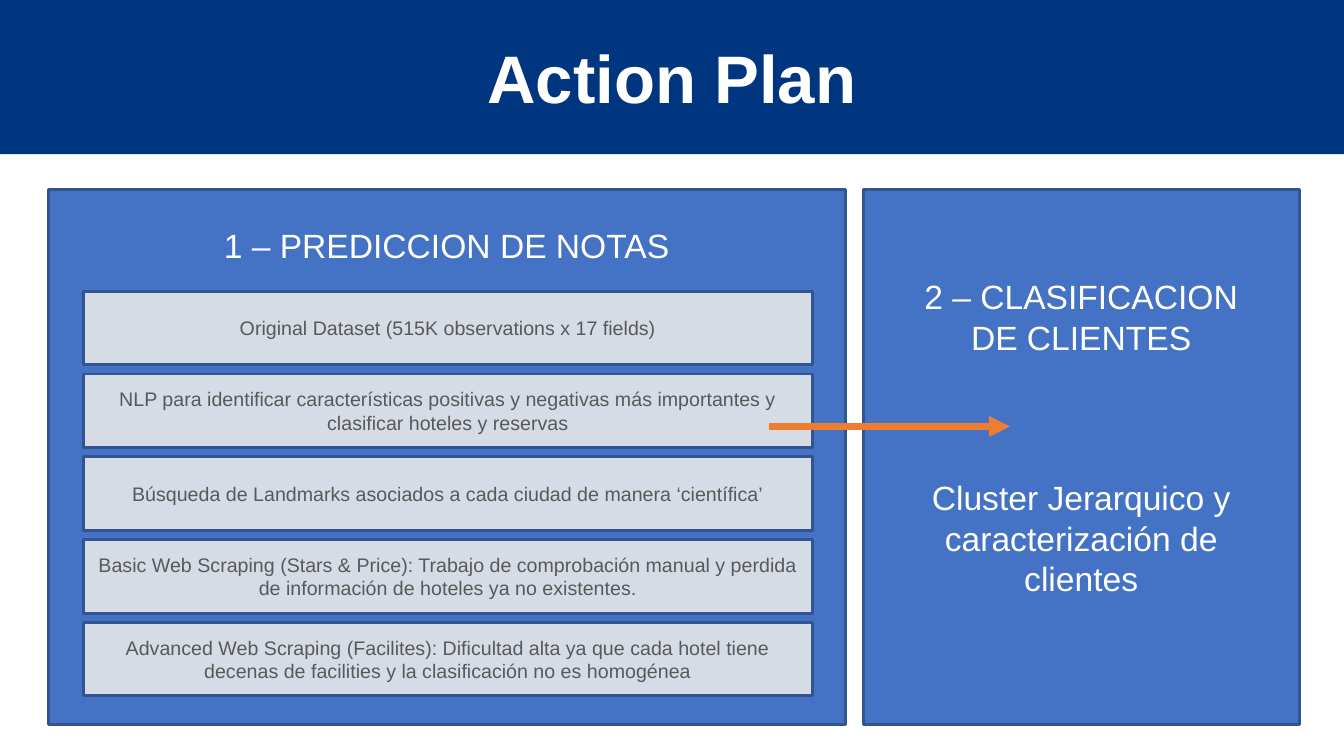
from pptx import Presentation
from pptx.util import Pt
from pptx.dml.color import RGBColor
from pptx.enum.shapes import MSO_SHAPE, MSO_CONNECTOR
from pptx.enum.text import PP_ALIGN, MSO_ANCHOR
from pptx.oxml.ns import qn
from lxml.etree import SubElement

TITLE = "Action Plan"
HEAD = "1 – PREDICCION DE NOTAS"
STEPS = [
    "Original Dataset (515K observations x 17 fields)",
    "NLP para identificar características positivas y negativas más "
    "importantes y clasificar hoteles y reservas",
    "Búsqueda de Landmarks asociados a cada ciudad de manera ‘científica’",
    "Basic Web Scraping (Stars & Price): Trabajo de comprobación manual y "
    "perdida de información de hoteles ya no existentes.",
    "Advanced Web Scraping (Facilites): Dificultad alta ya que cada hotel "
    "tiene decenas de facilities y la clasificación no es homogénea",
]
CLIENTS = [
    "2 – CLASIFICACION DE CLIENTES",
    "Cluster Jerarquico y caracterización de clientes",
]

NAVY = RGBColor(0x00, 0x35, 0x80)
BLUE = RGBColor(0x44, 0x72, 0xC4)
EDGE = RGBColor(0x32, 0x54, 0x91)
PALE = RGBColor(0xD6, 0xDC, 0xE5)
GREY = RGBColor(0x59, 0x59, 0x59)
WHITE = RGBColor(0xFF, 0xFF, 0xFF)
ORANGE = RGBColor(0xED, 0x7D, 0x31)

WIDTH, HEIGHT = 960, 540
PANEL_TOP, PANEL_H = 135.4, 382.3
STEP_TOP, STEP_H, STEP_GAP = 208.1, 52.6, 6.5
ARROW_Y = 304.6


def write(shape, lines, size, color, bold=False, gap=0):
    """Put centred paragraphs in a shape, with a gap between them."""
    frame = shape.text_frame
    frame.word_wrap = True
    frame.text = "\n".join(lines)
    for i, para in enumerate(frame.paragraphs):
        para.alignment = PP_ALIGN.CENTER
        para.space_before = Pt(gap if i else 0)
        font = para.font
        font.name, font.size, font.bold = "Arial", Pt(size), bold
        font.color.rgb = color


def box(slide, left, top, width, height, fill, edge=None):
    """Add a flat rectangle, outlined if an edge colour is given."""
    shape = slide.shapes.add_shape(
        MSO_SHAPE.RECTANGLE, Pt(left), Pt(top), Pt(width), Pt(height))
    shape.shadow.inherit = False
    shape.fill.solid()
    shape.fill.fore_color.rgb = fill
    if edge is None:
        shape.line.fill.background()
    else:
        shape.line.color.rgb = edge
        shape.line.width = Pt(2)
    shape.text_frame.vertical_anchor = MSO_ANCHOR.MIDDLE
    return shape


def label(slide, left, top, width, height, lines, gap=0):
    """Add a white text box in heading size."""
    text = slide.shapes.add_textbox(
        Pt(left), Pt(top), Pt(width), Pt(height))
    write(text, lines, 24, WHITE, gap=gap)


def arrow(slide, start, end, y):
    """Add a level orange arrow pointing to the right."""
    line = slide.shapes.add_connector(
        MSO_CONNECTOR.STRAIGHT, Pt(start), Pt(y), Pt(end), Pt(y))
    line.line.color.rgb = ORANGE
    line.line.width = Pt(5)
    SubElement(line.line._get_or_add_ln(), qn("a:tailEnd"), type="triangle")
    SubElement(line._element.spPr, qn("a:effectLst"))


deck = Presentation()
deck.slide_width, deck.slide_height = Pt(WIDTH), Pt(HEIGHT)
slide = deck.slides.add_slide(deck.slide_layouts[6])

banner = box(slide, 0, 0, WIDTH, 110.2, NAVY)
write(banner, [TITLE], 48, WHITE, bold=True)

box(slide, 34.4, PANEL_TOP, 569.3, PANEL_H, BLUE, EDGE)
label(slide, 144, 157, 350, 36, [HEAD])
for i, step in enumerate(STEPS):
    top = STEP_TOP + i * (STEP_H + STEP_GAP)
    card = box(slide, 59.6, top, 520.6, STEP_H, PALE, EDGE)
    write(card, [step], 14, GREY)

box(slide, 616.8, PANEL_TOP, 311.4, PANEL_H, BLUE, EDGE)
label(slide, 651, 193.7, 242.6, 240, CLIENTS, gap=86)
arrow(slide, 549.4, 721.4, ARROW_Y)

deck.save("out.pptx")
